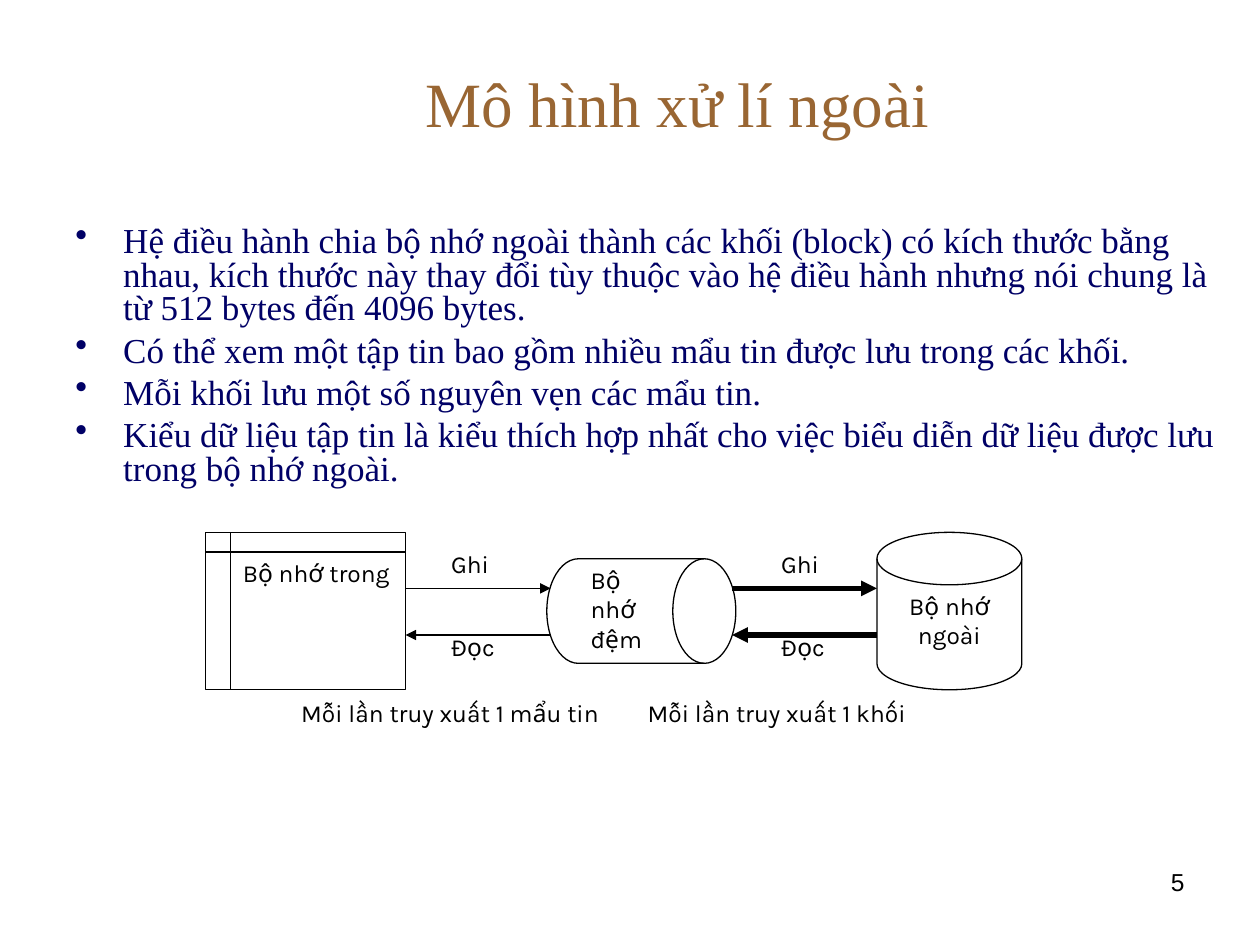
import pptx
import pptx.util
import pptx.dml.color
import pptx.enum.shapes
import pptx.enum.text
import pptx.oxml.ns
import lxml.etree

Inches, Pt = pptx.util.Inches, pptx.util.Pt
RGBColor = pptx.dml.color.RGBColor
SHAPE = pptx.enum.shapes.MSO_SHAPE
ALIGN = pptx.enum.text.PP_ALIGN
ANCHOR = pptx.enum.text.MSO_ANCHOR
qn = pptx.oxml.ns.qn

BROWN = RGBColor(0x99, 0x66, 0x33)
NAVY = RGBColor(0x00, 0x00, 0x66)
BLACK = RGBColor(0, 0, 0)
WHITE = RGBColor(0xFF, 0xFF, 0xFF)
SERIF, SANS, NUMBER_FONT = "Times New Roman", "Karla", "Arial"

# Content
TITLE = "Mô hình xử lí ngoài"
BULLETS = [
    "Hệ điều hành chia bộ nhớ ngoài thành các khối (block) có kích thước bằng nhau, "
    "kích thước này thay đổi tùy thuộc vào hệ điều hành nhưng nói chung là "
    "từ 512 bytes đến 4096 bytes.",
    "Có thể xem một tập tin bao gồm nhiều mẩu tin được lưu trong các khối.",
    "Mỗi khối lưu một số nguyên vẹn các mẩu tin.",
    "Kiểu dữ liệu tập tin là kiểu thích hợp nhất cho việc biểu diễn dữ liệu "
    "được lưu trong bộ nhớ ngoài.",
]
# Memories: text, shape, left, width, height, alignment
MEMORIES = [
    ("Bộ nhớ trong", SHAPE.FLOWCHART_INTERNAL_STORAGE, 1.63, 1.59, 1.25, ALIGN.LEFT),
    ("Bộ nhớ ngoài", SHAPE.FLOWCHART_DIRECT_ACCESS_STORAGE, 6.96, 1.15, 1.25, ALIGN.CENTER),
    ("Bộ nhớ đệm", SHAPE.FLOWCHART_DIRECT_ACCESS_STORAGE, 4.34, 1.5, 0.83, ALIGN.LEFT),
]
MEMORIES[1] = MEMORIES[1][:1] + (SHAPE.FLOWCHART_MAGNETIC_DISK,) + MEMORIES[1][2:]
# Links between memories: arrow left, label left, line width, caption, its left and width
LINKS = [
    (3.22, 3.58, 0.75, "Mỗi lần truy xuất 1 mẩu tin", 2.39, 2.56),
    (5.81, 6.2, 3, "Mỗi lần truy xuất 1 khối", 5.14, 2.3),
]
# Directions: label, arrow y, label top, end that carries the arrowhead
DIRECTIONS = [("Ghi", 4.67, 4.35, "tailEnd"), ("Đọc", 5.04, 5.01, "headEnd")]
PAGE = "5"

MIDDLE_Y = 4.85
ARROW_LENGTH = 1.15
LABEL_W, LABEL_H = 0.44, 0.41
CAPTION_Y = 5.53


def write(sp, *texts, size=14, font=SANS, color=BLACK, align=ALIGN.LEFT,
          anchor=ANCHOR.TOP, inset=(0.1, 0.05), bullet=None, spacing=None, before=0):
    tf = sp.text_frame
    tf.word_wrap = True
    tf.auto_size = pptx.enum.text.MSO_AUTO_SIZE.NONE
    tf.vertical_anchor = anchor
    tf.margin_left = tf.margin_right = Inches(inset[0])
    tf.margin_top = tf.margin_bottom = Inches(inset[1])
    for i, text in enumerate(texts):
        p = tf.add_paragraph() if i else tf.paragraphs[0]
        p.alignment = align
        p.line_spacing = spacing
        p.space_before = Pt(before if i else 0)
        if bullet:
            pPr = p._p.get_or_add_pPr()
            pPr.set("marL", str(Inches(0.38)))
            pPr.set("indent", str(-Inches(0.38)))
            lxml.etree.SubElement(pPr, qn("a:buChar"), char=bullet)
        r = p.add_run()
        r.text = text
        r.font.size, r.font.name, r.font.color.rgb = Pt(size), font, color


def add_text(slide, x, y, w, h, *texts, **fmt):
    sp = slide.shapes.add_textbox(Inches(x), Inches(y), Inches(w), Inches(h))
    write(sp, *texts, **fmt)


def add_memory(slide, text, kind, x, w, h, align):
    sp = slide.shapes.add_shape(kind, Inches(x), Inches(MIDDLE_Y - h / 2),
                                Inches(w), Inches(h))
    sp.shadow.inherit = False
    sp.fill.solid()
    sp.fill.fore_color.rgb = WHITE
    sp.line.color.rgb = BLACK
    sp.line.width = Pt(0.75)
    write(sp, text, align=align)


def add_arrow(slide, x, y, width, end):
    line = slide.shapes.add_connector(
        pptx.enum.shapes.MSO_CONNECTOR.STRAIGHT,
        Inches(x), Inches(y), Inches(x + ARROW_LENGTH), Inches(y))
    line.line.color.rgb = BLACK
    line.line.width = Pt(width)
    lxml.etree.SubElement(line.line._get_or_add_ln(), qn("a:" + end), type="triangle")
    lxml.etree.SubElement(line._element.spPr, qn("a:effectLst"))


def main():
    prs = pptx.Presentation()
    prs.slide_width, prs.slide_height = Inches(10), Inches(7.5)
    slide = prs.slides.add_slide(prs.slide_layouts[5])

    # Title and bullets
    title = slide.shapes.title
    title.left, title.top = Inches(1.25), Inches(0.3)
    title.width, title.height = Inches(8.25), Inches(1.03)
    write(title, TITLE, size=36, font=SERIF, color=BROWN,
          align=ALIGN.CENTER, anchor=ANCHOR.MIDDLE)
    add_text(slide, 0.5, 1.75, 9.33, 2.75, *BULLETS, size=20, font=SERIF,
             color=NAVY, bullet="•", spacing=0.8, before=5)

    # Memory diagram
    for memory in MEMORIES:
        add_memory(slide, *memory)
    label = dict(align=ALIGN.JUSTIFY, inset=(0, 0.01))
    for arrow_x, label_x, width, caption, caption_x, caption_w in LINKS:
        for text, arrow_y, label_y, end in DIRECTIONS:
            add_arrow(slide, arrow_x, arrow_y, width, end)
            add_text(slide, label_x, label_y, LABEL_W, LABEL_H, text, **label)
        add_text(slide, caption_x, CAPTION_Y, caption_w, LABEL_H, caption, **label)

    # Page number
    add_text(slide, 7.17, 6.83, 2.33, 0.52, PAGE, font=NUMBER_FONT, align=ALIGN.RIGHT)

    prs.save("out.pptx")


if __name__ == "__main__":
    main()
